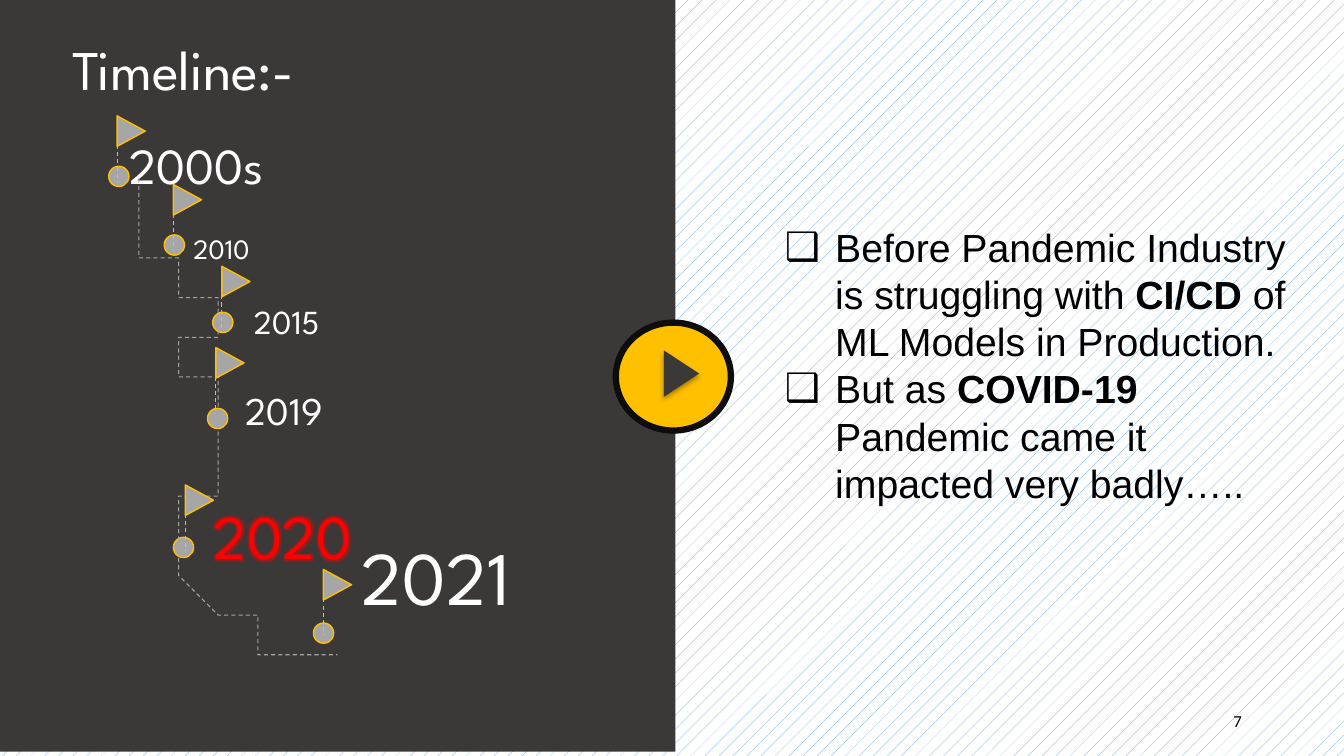
import pptx
import pptx.util
import lxml.etree
from pptx.dml.color import RGBColor
from pptx.enum.dml import MSO_LINE, MSO_PATTERN
from pptx.enum.shapes import MSO_CONNECTOR, MSO_SHAPE
from pptx.enum.text import MSO_ANCHOR, PP_ALIGN
from pptx.oxml import parse_xml
from pptx.oxml.ns import nsdecls, qn
from pptx.util import Cm, Pt

COLORS = {
    "panel": "3B3838", "gold": "FFC000", "ring": "0D0D0D", "marker": "A6A6A6",
    "road": "A5A5A5", "white": "FFFFFF", "black": "000000", "alert": "FF0000",
    "hatch": "5B9BD5",
}
HEADING_FONT = "League Spartan"

# year, size, colour, pole top, dot corner, label box; in cm from the timeline's corner
STOPS = [
    ("2000s", 36, "white", (0.45, 0.42), (0.24, 1.69), (0.5, 0.75, 3.91, 1.8)),
    ("2010", 20, "white", (1.87, 2.15), (1.64, 3.42), (1.41, 3.22, 3.35, 1.12)),
    ("2015", 24, "white", (3.09, 4.21), (2.86, 5.37), (3.11, 4.97, 3.23, 1.27)),
    ("2019", 28, "white", (2.94, 6.26), (2.73, 7.79), (3.04, 7.1, 3.23, 1.45)),
    ("2020", 44, "alert", (2.17, 9.72), (1.87, 11.04), (2.45, 9.92, 4.37, 2.13)),
    ("2021", 54, "white", (5.65, 11.85), (5.4, 13.2), (6.26, 10.73, 4.47, 2.57)),
]
ROAD_START = (1.03, 2.5)
ROAD_CURVES = [
    ((1.18, 3.14), (1.31, 3.77), (1.72, 4.23)),
    ((2.12, 4.69), (3.32, 4.79), (3.44, 5.2)),
    ((3.57, 5.63), (2.45, 6.09), (2.43, 6.72)),
    ((2.38, 7.36), (3.32, 8.24), (3.24, 9.01)),
    ((3.16, 9.77), (1.89, 10.63), (1.89, 11.32)),
    ((1.92, 12.0), (2.61, 12.66), (3.32, 13.12)),
    ((4.03, 13.58), (5.76, 13.98), (6.19, 14.14)),
]
CURVE_STEPS = 16
MESSAGES = [
    [("Before Pandemic Industry is struggling with ", False),
     ("CI/CD ", True), ("of ML Models in Production.", False)],
    [("But as ", False), ("COVID-19 ", True),
     ("Pandemic came it impacted very badly…..", False)],
]


def rgb(name):
    return RGBColor.from_string(COLORS[name])


def style_line(line, color, width, dash=None):
    line.color.rgb = rgb(color)
    line.width = Pt(width)
    if dash:
        line.dash_style = dash


def add_shape(slide, kind, box, fill, line=None, width=1):
    shape = slide.shapes.add_shape(kind, *map(Cm, box))
    shape.shadow.inherit = False
    shape.fill.solid()
    shape.fill.fore_color.rgb = rgb(fill)
    if line:
        style_line(shape.line, line, width)
    else:
        shape.line.fill.background()
    return shape


def style_paragraph(paragraph, size, font, color):
    paragraph.font.size = Pt(size)
    paragraph.font.name = font
    paragraph.font.color.rgb = rgb(color)


def add_text_frame(slide, box):
    frame = slide.shapes.add_textbox(*map(Cm, box)).text_frame
    frame.word_wrap = True
    return frame


def add_label(slide, box, text, size, color="white", font=HEADING_FONT, align=PP_ALIGN.LEFT):
    frame = add_text_frame(slide, box)
    paragraph = frame.paragraphs[0]
    paragraph.text = text
    paragraph.alignment = align
    style_paragraph(paragraph, size, font, color)
    return frame


def add_glow(frame, color):
    """Give the first run a hairline outline and a soft halo."""
    properties = frame.paragraphs[0].runs[0].font._element
    fill = f'<a:solidFill><a:srgbClr val="{COLORS[color]}"/></a:solidFill>'
    properties.append(parse_xml(f'<a:ln {nsdecls("a")} w="0">{fill}</a:ln>'))
    properties.append(parse_xml(fill.replace("<a:solidFill>", f'<a:solidFill {nsdecls("a")}>')))
    properties.append(parse_xml(
        f'<a:effectLst {nsdecls("a")}><a:glow rad="63500"><a:srgbClr val="{COLORS[color]}">'
        '<a:alpha val="40000"/></a:srgbClr></a:glow></a:effectLst>'))


def bezier_points(start, curves):
    for first, second, end in curves:
        for step in range(1, CURVE_STEPS + 1):
            t = step / CURVE_STEPS
            u = 1 - t
            yield tuple(u**3 * a + 3 * u * u * t * b + 3 * u * t * t * c + t**3 * d
                        for a, b, c, d in zip(start, first, second, end))
        start = end


def add_road(slide, left, top):
    builder = slide.shapes.build_freeform(*ROAD_START, scale=Cm(1))
    builder.add_line_segments(list(bezier_points(ROAD_START, ROAD_CURVES)), close=False)
    road = builder.convert_to_shape(Cm(left), Cm(top))
    road.shadow.inherit = False
    road.fill.background()
    style_line(road.line, "road", 0.75, MSO_LINE.DASH)


def add_flag(slide, x, y):
    pole = slide.shapes.add_connector(MSO_CONNECTOR.STRAIGHT, Cm(x), Cm(y), Cm(x), Cm(y + 1.65))
    style_line(pole.line, "gold", 0.75, MSO_LINE.DASH)
    lxml.etree.SubElement(pole._element.spPr, qn("a:effectLst"))
    pennant = add_shape(slide, MSO_SHAPE.ISOSCELES_TRIANGLE,
                        (x - 0.03, y + 0.03, 0.77, 0.71), "marker", "gold")
    pennant.rotation = 90


def add_timeline(slide, left, top):
    for year, size, color, _, dot, (x, y, width, height) in STOPS:
        add_shape(slide, MSO_SHAPE.OVAL, (left + dot[0], top + dot[1], 0.51, 0.51),
                  "marker", "gold")
        label = add_label(slide, (left + x, top + y, width, height), year, size, color,
                          align=PP_ALIGN.CENTER)
        if color == "alert":
            add_glow(label, color)
    add_road(slide, left, top)
    for _, _, _, (x, y), _, _ in STOPS:
        add_flag(slide, left + x, top + y)


def add_play_button(slide, left, top, width, height):
    add_shape(slide, MSO_SHAPE.OVAL, (left, top, width, height), "gold", "ring", 4.5)
    arrow = add_shape(slide, MSO_SHAPE.ISOSCELES_TRIANGLE,
                      (left + 1.07, top + 0.84, 1.17, 0.89), "panel")
    arrow.rotation = 90
    arrow._element.spPr.find(qn("a:effectLst")).append(parse_xml(
        f'<a:outerShdw {nsdecls("a")} blurRad="{Pt(3.5)}" dist="{Pt(2.2)}" dir="5400000">'
        f'<a:srgbClr val="{COLORS["black"]}"><a:alpha val="32000"/></a:srgbClr></a:outerShdw>'))


def add_messages(slide, box):
    frame = add_text_frame(slide, box)
    for index, message in enumerate(MESSAGES):
        paragraph = frame.add_paragraph() if index else frame.paragraphs[0]
        for text, bold in message:
            run = paragraph.add_run()
            run.text = text
            run.font.bold = bold
        style_paragraph(paragraph, 28, "Arial", "black")
        properties = paragraph._p.get_or_add_pPr()
        properties.set("marL", str(Cm(1.27)))
        properties.set("indent", str(-Cm(1.27)))
        bullet_font = parse_xml(f'<a:buFont {nsdecls("a")} typeface="Arial"/>')
        bullet = parse_xml(f'<a:buChar {nsdecls("a")} char="❑"/>')
        properties.insert(0, bullet_font)
        bullet_font.addnext(bullet)


def add_background(slide):
    fill = slide.background.fill
    fill.patterned()
    fill.pattern = MSO_PATTERN.PERCENT_5
    fill.fore_color.rgb = rgb("hatch")
    fill.back_color.rgb = rgb("white")


def main():
    deck = pptx.Presentation()
    deck.slide_width, deck.slide_height = Cm(33.87), Cm(19.05)
    slide = deck.slides.add_slide(deck.slide_layouts[6])
    add_background(slide)
    add_shape(slide, MSO_SHAPE.RECTANGLE, (-0.05, -0.08, 17.07, 19.02), "panel")
    add_label(slide, (1.57, 0.74, 13.74, 1.96), "Timeline:-", 40)
    add_timeline(slide, 2.5, 2.5)
    add_play_button(slide, 15.52, 8.13, 2.9, 2.72)
    add_messages(slide, (19.53, 5.51, 13.56, 7.44))
    number = add_label(slide, (23.93, 17.65, 7.62, 1.02), "7", 12, "black", "Calibri",
                       PP_ALIGN.RIGHT)
    number.vertical_anchor = MSO_ANCHOR.MIDDLE
    deck.save("out.pptx")


if __name__ == "__main__":
    main()
